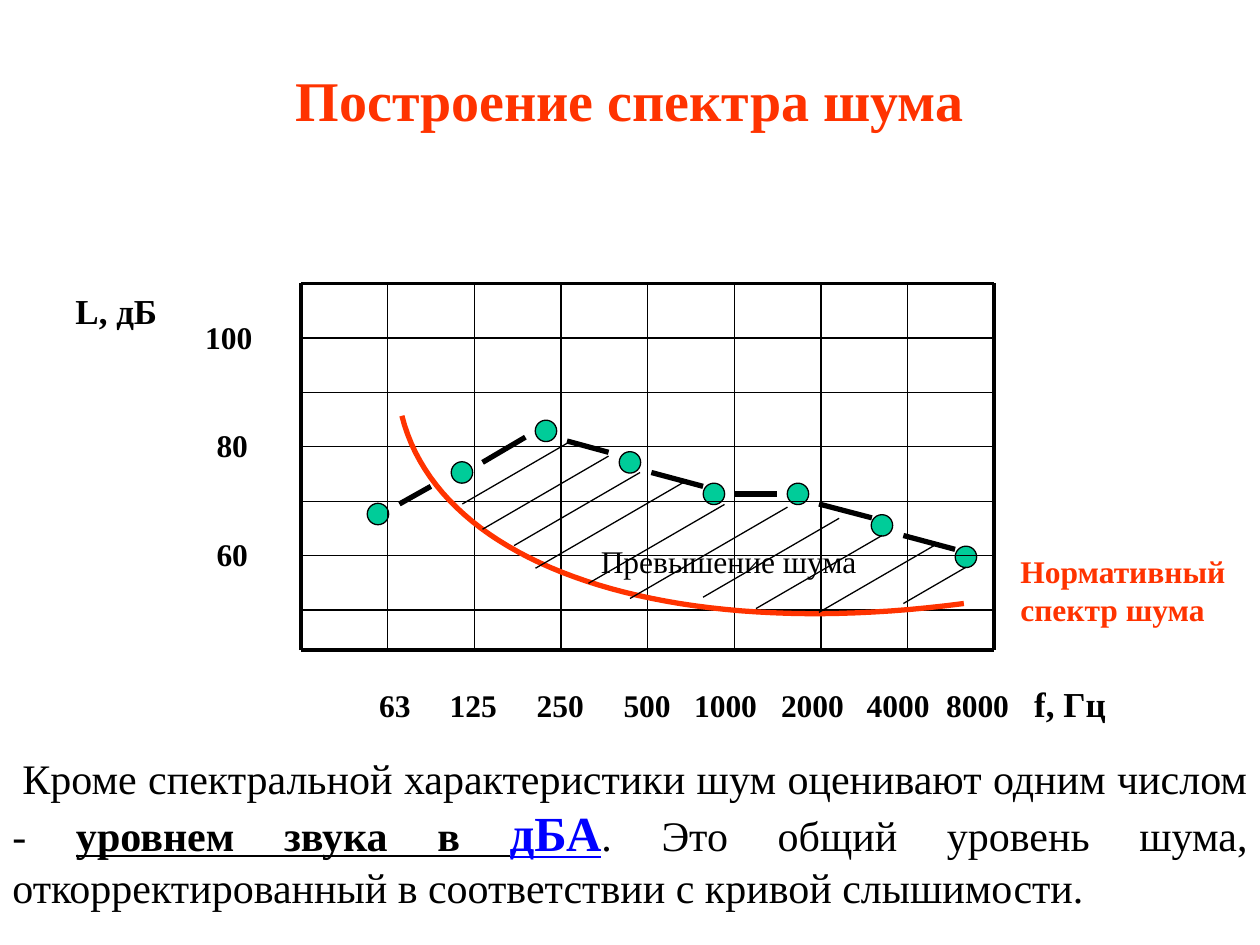
import pptx
import pptx.dml.color
import pptx.enum.shapes
import pptx.enum.text
import pptx.util
from lxml import etree
from pptx.util import Inches

COLORS = {"ink": "000000", "accent": "FF3300", "marker": "00CC99", "term": "0000FF"}
FONT = "Times New Roman"
A = "http://schemas.openxmlformats.org/drawingml/2006/main"

COLUMNS, ROW_HEIGHT, ROWS = 8, 0.432, 6
FREQUENCIES = ["63", "125", "250", "500", "1000", "2000", "4000", "8000"]
FREQUENCY_TABS = [0.56, 1.25, 1.94, 2.5, 3.19, 3.87, 4.5, 5.2]

# Offsets in inches from the top left corner of the plot
MARKER_START, MARKER_STEP, MARKER_SIZE = 0.61, 2 / 3, 0.17
MARKER_HEIGHTS = [1.83, 1.5, 1.17, 1.42, 1.67, 1.67, 1.92, 2.17]
DASHES = [
    (0.78, 1.75, 1.03, 1.61), (1.44, 1.42, 1.78, 1.22), (2.11, 1.25, 2.44, 1.34),
    (2.78, 1.5, 3.19, 1.61), (3.44, 1.67, 3.78, 1.67), (4.11, 1.75, 4.53, 1.86),
    (4.78, 2, 5.19, 2.11),
]
LIMIT_CURVE = [(0.8, 1.05), (1.1, 2.25), (2.91, 2.85), (5.26, 2.54)]
HATCH_SLOPE = 0.58
HATCHES = [  # x, y of the lower end and horizontal run
    (1.28, 1.75, 0.83), (1.44, 1.95, 1), (1.69, 2.08, 1), (1.86, 2.26, 1.17),
    (2.28, 2.38, 1.08), (2.61, 2.5, 1.25), (3.19, 2.49, 1.08), (3.61, 2.58, 1),
    (4.11, 2.61, 0.92), (4.78, 2.54, 0.5),
]


def rgb(name):
    return pptx.dml.color.RGBColor.from_string(COLORS[name])


def set_font(font, size, color="ink", bold=False):
    font.name = FONT
    font.size = pptx.util.Pt(size)
    font.bold = bold
    font.color.rgb = rgb(color)


def add_line(page, x1, y1, x2, y2, width=0.75):
    line = page.shapes.add_connector(
        pptx.enum.shapes.MSO_CONNECTOR.STRAIGHT,
        Inches(x1), Inches(y1), Inches(x2), Inches(y2))
    line.line.color.rgb = rgb("ink")
    line.line.width = pptx.util.Pt(width)
    etree.SubElement(line._element.spPr, f"{{{A}}}effectLst")


def add_label(page, box, text, size=18, color="ink", bold=True):
    """Add a wrapped text box and return its paragraph."""
    label = page.shapes.add_textbox(*(Inches(value) for value in box))
    label.text_frame.word_wrap = True
    para = label.text_frame.paragraphs[0]
    para.text = text
    set_font(para.font, size, color, bold)
    return para


def add_title(page, box):
    title = page.shapes.title
    title.left, title.top, title.width, title.height = (Inches(value) for value in box)
    title.text_frame.text = "Построение спектра шума"
    title.text_frame.vertical_anchor = pptx.enum.text.MSO_ANCHOR.MIDDLE
    para = title.text_frame.paragraphs[0]
    para.alignment = pptx.enum.text.PP_ALIGN.CENTER
    set_font(para.font, 32, "accent", True)


def add_spectrum(page, left, top):
    """Draw the measured noise levels as markers joined by dashes."""
    for index, height in enumerate(MARKER_HEIGHTS):
        x = left + MARKER_START + index * MARKER_STEP
        marker = page.shapes.add_shape(
            pptx.enum.shapes.MSO_SHAPE.FLOWCHART_CONNECTOR,
            Inches(x - MARKER_SIZE / 2), Inches(top + height - MARKER_SIZE / 2),
            Inches(MARKER_SIZE), Inches(MARKER_SIZE))
        marker.shadow.inherit = False
        marker.fill.solid()
        marker.fill.fore_color.rgb = rgb("marker")
        marker.line.color.rgb = rgb("ink")
        marker.line.width = pptx.util.Pt(0.75)
    for x1, y1, x2, y2 in DASHES:
        add_line(page, left + x1, top + y1, left + x2, top + y2, 3)


def add_grid(page, left, top, width, height):
    right, bottom = left + width, top + height
    for column in range(COLUMNS + 1):
        x = left + column * width / COLUMNS
        add_line(page, x, bottom, x, top, 2.25 if column in (0, COLUMNS) else 0.75)
    for row in range(1, ROWS + 1):
        y = top + row * ROW_HEIGHT
        add_line(page, left, y, right, y)
    for y in (top, bottom):
        add_line(page, left, y, right, y, 2.25)


def add_axis_labels(page, left, top, height):
    for text, row, offset, width in (("60", 5, 0.77, 0.52), ("80", 3, 0.77, 0.52),
                                     ("100", 1, 0.86, 0.69)):
        y = top + row * ROW_HEIGHT - 0.21
        add_label(page, (left - offset, y, width, 0.4), text)
    add_label(page, (left - 1.89, top, 0.95, 0.44), "L, дБ", 20)

    para = add_label(page, (left + 0.52, top + height + 0.21, 6.19, 0.44), "")
    tabs = etree.SubElement(para._p.get_or_add_pPr(), f"{{{A}}}tabLst")
    for position in FREQUENCY_TABS:
        etree.SubElement(tabs, f"{{{A}}}tab", pos=str(Inches(position)), algn="l")
    # Tab stops precede the default run properties in the schema
    tabs.getparent().insert(0, tabs)
    for text, size in (("\t".join(FREQUENCIES) + "\t", 18), ("f, Гц", 20)):
        span = para.add_run()
        span.text = text
        set_font(span.font, size, bold=True)


def bezier_point(points, t):
    weights = ((1 - t) ** 3, 3 * t * (1 - t) ** 2, 3 * t ** 2 * (1 - t), t ** 3)
    return tuple(sum(w * point[axis] for w, point in zip(weights, points))
                 for axis in (0, 1))


def add_limit(page, left, top, steps=48):
    """Draw the red limit curve and its caption."""
    points = [(Inches(left + x), Inches(top + y)) for x, y in
              (bezier_point(LIMIT_CURVE, step / steps) for step in range(steps + 1))]
    builder = page.shapes.build_freeform(*points[0])
    builder.add_line_segments(points[1:], close=False)
    curve = builder.convert_to_shape()
    curve.shadow.inherit = False
    curve.fill.background()
    curve.line.color.rgb = rgb("accent")
    curve.line.width = pptx.util.Pt(3)
    add_label(page, (left + 5.61, top + 2.08, 2, 0.7),
              "Нормативный\vспектр шума", color="accent")


def add_excess(page, left, top):
    """Hatch the area where the noise exceeds the limit."""
    add_label(page, (left + 2.28, top + 2, 2.33, 0.4), "Превышение шума", bold=False)
    for x, y, run in HATCHES:
        add_line(page, left + x, top + y,
                 left + x + run, top + y - run * HATCH_SLOPE)


def add_noise_plot(page, left, top, width, height):
    add_spectrum(page, left, top)
    add_grid(page, left, top, width, height)
    add_axis_labels(page, left, top, height)
    add_limit(page, left, top)
    add_excess(page, left, top)


def add_summary(page, box):
    para = add_label(page, box, "", 24, bold=False)
    para.alignment = pptx.enum.text.PP_ALIGN.JUSTIFY
    para._p.get_or_add_pPr().set("indent", str(Inches(0.08)))
    for text, size, color, strong in (
            ("Кроме спектральной характеристики шум оценивают одним числом - ",
             24, "ink", False),
            ("уровнем звука в ", 24, "ink", True),
            ("дБА", 28, "term", True),
            (". Это общий уровень шума, откорректированный в соответствии "
             "с кривой слышимости.", 24, "ink", False)):
        span = para.add_run()
        span.text = text
        set_font(span.font, size, color, strong)
        span.font.underline = strong


def main():
    deck = pptx.Presentation()
    deck.slide_width, deck.slide_height = Inches(10), Inches(7.5)
    page = deck.slides.add_slide(deck.slide_layouts[5])
    add_title(page, (0.75, 0.33, 8.5, 0.92))
    add_noise_plot(page, 2.39, 2.25, 5.5, 2.91)
    add_summary(page, (0, 5.92, 10, 1.37))
    deck.save("out.pptx")


if __name__ == "__main__":
    main()
